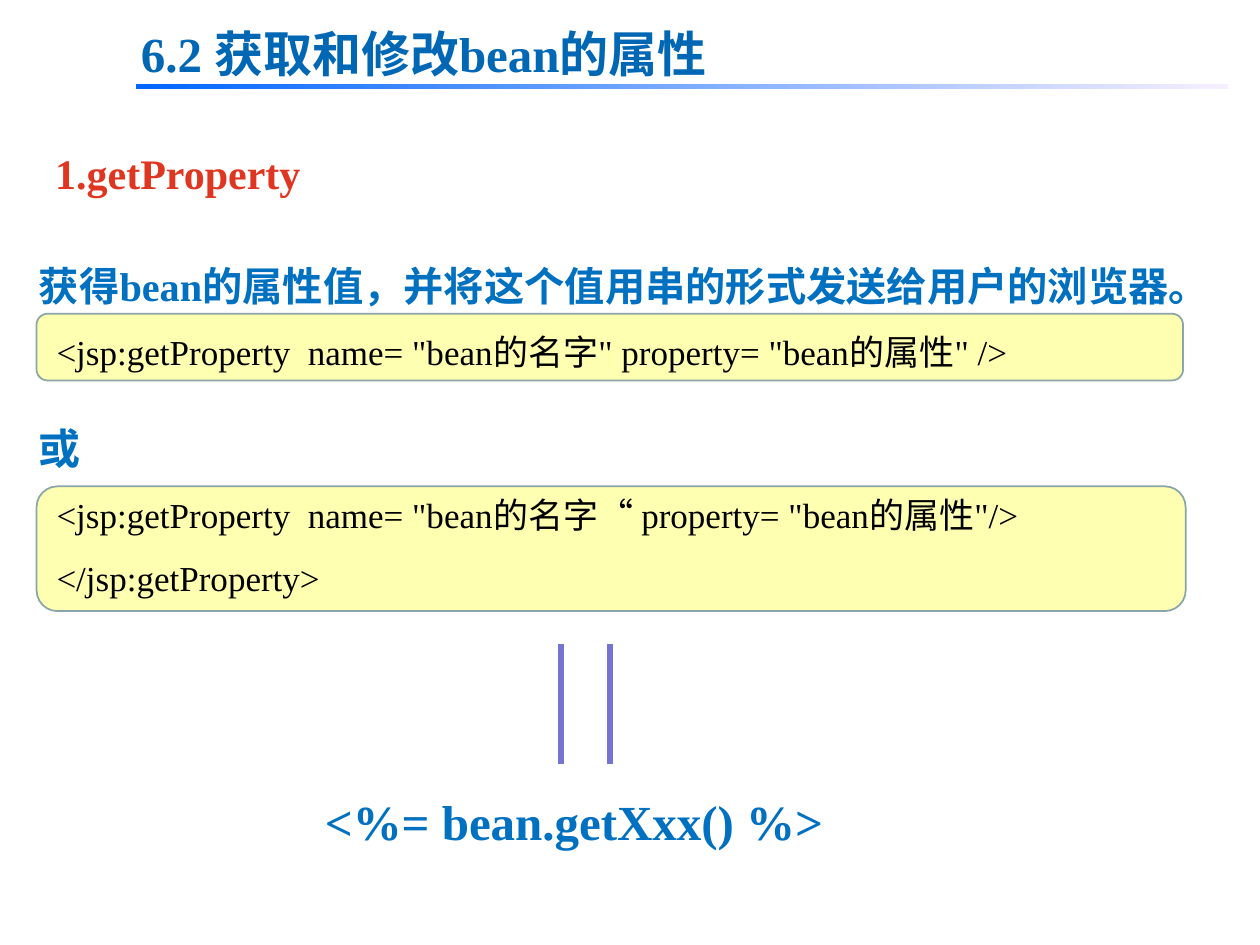
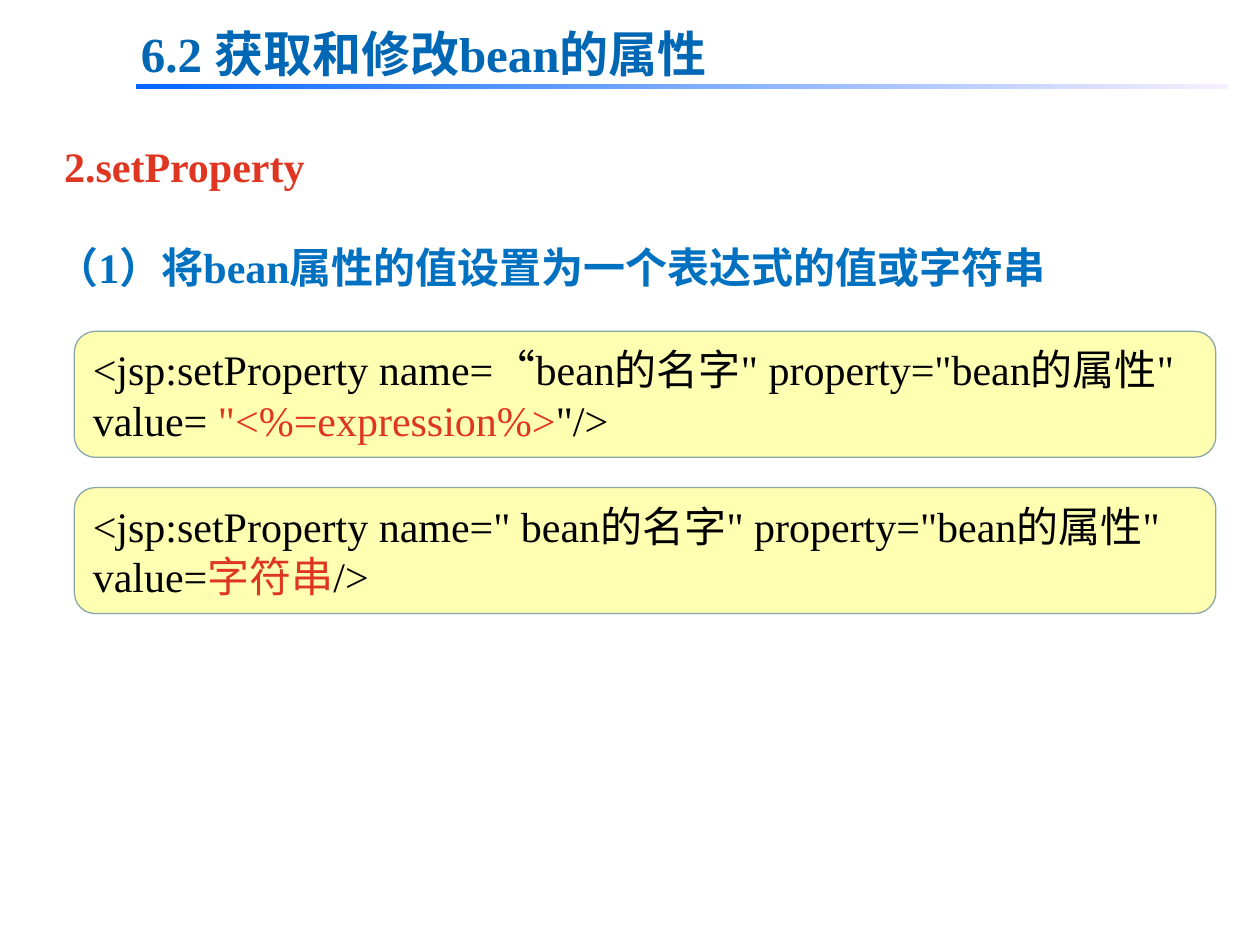
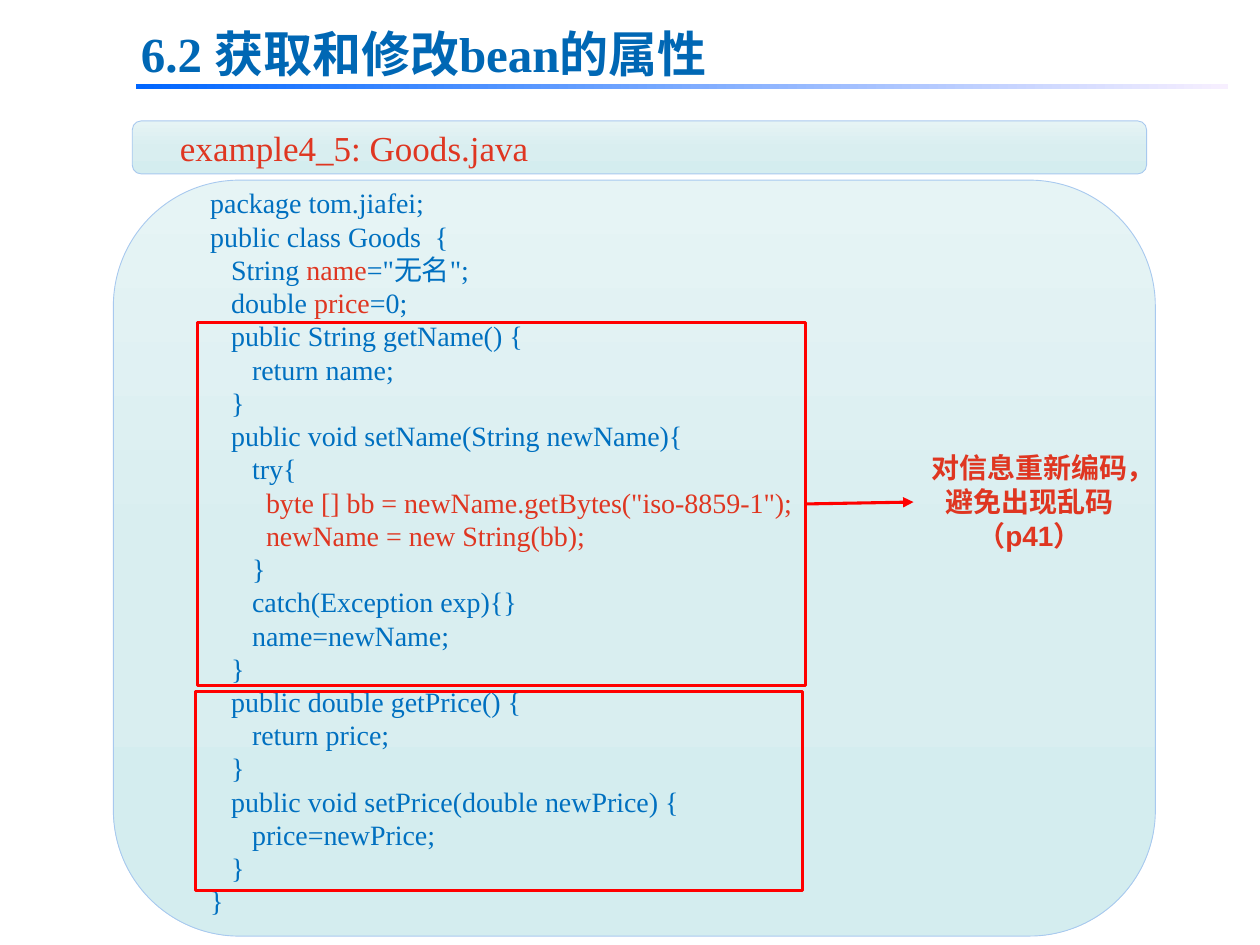
from lxml import etree
from pptx import Presentation
from pptx.dml.color import RGBColor
from pptx.enum.dml import MSO_THEME_COLOR
from pptx.enum.shapes import MSO_CONNECTOR, MSO_SHAPE
from pptx.enum.text import MSO_ANCHOR, PP_ALIGN
from pptx.oxml.ns import qn
from pptx.util import Inches, Pt

RECT, ROUND = MSO_SHAPE.RECTANGLE, MSO_SHAPE.ROUNDED_RECTANGLE
STRAIGHT = MSO_CONNECTOR.STRAIGHT
LEFT, CENTER, JUSTIFY = PP_ALIGN.LEFT, PP_ALIGN.CENTER, PP_ALIGN.JUSTIFY
TOP, MIDDLE = MSO_ANCHOR.TOP, MSO_ANCHOR.MIDDLE
DARK = MSO_THEME_COLOR.TEXT_1

SERIF, SANS = "Times New Roman", "Arial"
TITLE_BLUE, BLUE, RED, BLACK = "0067B4", "0070C0", "DF3621", "000000"
YELLOW, BOX_EDGE = "FFFF00", "8AA6A8"
FRAME_RED, PANEL_EDGE, BAR = "FF0000", "A8C9EF", "7575D1"
RULE_STOPS = ((0, "0066FF"), (100, "F7EFFF"))
PANEL_STOPS = ((0, "E6F4F5"), (50, "D9EEF0"), (100, "D4EDEF"))

TITLE = "6.2 获取和修改bean的属性"
GOODS = [
    "package tom.jiafei;",
    "public class Goods  {",
    ["   String ", ("name", RED), "=\"无名\";"],
    ["   double ", ("price", RED), "=0;"],
    "   public String getName() {",
    "      return name;",
    "   }",
    "   public void setName(String newName){",
    "      try{",
    [("        byte [] bb = newName.getBytes(\"iso-8859-1\");", RED)],
    [("        newName = new String(bb);", RED)],
    "      }",
    "      catch(Exception exp){}",
    "      name=newName;",
    "   }",
    "   public double getPrice() {",
    "      return price;",
    "   }",
    "   public void setPrice(double newPrice) {",
    "      price=newPrice;",
    "   }",
    "}",
]


def rgb(value):
    """Turn a hex string into a colour."""
    return RGBColor.from_string(value)


def add_paragraph(tf, runs, size, color, bold=False, name=SERIF, margin=0, **fmt):
    """Add a paragraph whose runs are strings or (string, colour) pairs."""
    p = tf.paragraphs[0]
    if p.runs:
        p = tf.add_paragraph()
    if margin:
        p._p.get_or_add_pPr().set("marL", str(Inches(margin)))
    for key, value in {"alignment": LEFT, **fmt}.items():
        setattr(p, key, value)
    for run in [runs] if isinstance(runs, str) else runs:
        text, run_color = (run, color) if isinstance(run, str) else run
        r = p.add_run()
        r.text = text
        for key, value in {"size": Pt(size), "bold": bold, "name": name}.items():
            setattr(r.font, key, value)
        r.font.color.rgb = rgb(run_color)


def add_text(slide, box):
    """Add a wrapping text box and return its shape."""
    sp = slide.shapes.add_textbox(*map(Inches, box))
    sp.text_frame.word_wrap = True
    return sp


def add_line_of_text(slide, box, text, size, color, **fmt):
    """Add a text box holding one paragraph."""
    add_paragraph(add_text(slide, box).text_frame, text, size, color, **fmt)


def add_box(slide, kind, box, line=None, width=1):
    """Add an unfilled shape with an optional outline."""
    sp = slide.shapes.add_shape(kind, *map(Inches, box))
    sp.shadow.inherit = False
    sp.fill.background()
    if line:
        sp.line.color.rgb = rgb(line)
        sp.line.width = Pt(width)
    else:
        sp.line.fill.background()
    return sp


def set_gradient(sp, stops, angle):
    """Fill a shape with a linear gradient of (percent, colour) stops."""
    sp.fill.gradient()
    sp.fill.gradient_angle = angle
    gs_list = sp._element.spPr.find(qn("a:gradFill")).find(qn("a:gsLst"))
    gs_list.clear()
    for percent, color in stops:
        gs = etree.SubElement(gs_list, qn("a:gs"), pos=str(percent * 1000))
        etree.SubElement(gs, qn("a:srgbClr"), val=color)


def add_code_box(slide, box, width):
    """Add a pale yellow rounded box for code."""
    sp = add_box(slide, ROUND, box, BOX_EDGE, width)
    sp.fill.solid()
    sp.fill.fore_color.rgb = rgb(YELLOW)
    color = sp._element.spPr.find(qn("a:solidFill"))[0]
    etree.SubElement(color, qn("a:alpha"), val="30000")
    return sp


def add_panel(slide, box):
    """Add a rounded panel with a soft vertical gradient."""
    set_gradient(add_box(slide, ROUND, box, PANEL_EDGE, 0.5), PANEL_STOPS, 270)


def add_line(slide, start, end, color, width):
    """Add a straight line without a shadow."""
    cx = slide.shapes.add_connector(STRAIGHT, *map(Inches, (*start, *end)))
    cx.line.color.rgb = rgb(color)
    cx.line.width = Pt(width)
    etree.SubElement(cx._element.spPr, qn("a:effectLst"))
    return cx


def add_slide(prs):
    """Add a blank slide with the section title and its rule."""
    slide = prs.slides.add_slide(prs.slide_layouts[6])
    set_gradient(add_box(slide, RECT, (1.08, 0.67, 8.67, 0.04)), RULE_STOPS, 0)
    add_line_of_text(slide, (1.02, 0.14, 5.09, 0.57), TITLE, 28, TITLE_BLUE,
                     bold=True, alignment=JUSTIFY)
    return slide


def add_syntax(slide, x, y, w, h):
    """Add the two forms of getProperty with their explanation."""
    add_code_box(slide, (x + 0.08, y + 0.66, w - 0.68, 0.53), 1)
    add_code_box(slide, (x + 0.08, y + 2.03, w - 0.66, 0.99), 1)
    tf = add_text(slide, (x, y, w, h)).text_frame
    note = {"color": BLUE, "bold": True, "alignment": JUSTIFY}
    code = {"size": 20, "color": BLACK, "margin": 0.14,
            "alignment": JUSTIFY, "line_spacing": 1.5}
    add_paragraph(tf, "获得bean的属性值，并将这个值用串的形式发送给用户的浏览器。",
                  23, line_spacing=1.5, **note)
    add_paragraph(tf, "<jsp:getProperty  name= \"bean的名字\" property= \"bean的属性\" />", **code)
    add_paragraph(tf, "或", 24, line_spacing=2.0, **note)
    add_paragraph(tf, "<jsp:getProperty  name= \"bean的名字“ property= \"bean的属性\"/>", **code)
    add_paragraph(tf, "</jsp:getProperty>", **code)


def add_equivalent(slide, x, y, w, h):
    """Add the double bar and the equivalent expression below it."""
    add_line_of_text(slide, (x, y + h - 0.57, w, 0.57), "<%= bean.getXxx() %>",
                     28, BLUE, bold=True)
    for bar_x in (x + 1.97, x + 2.36):
        add_line(slide, (bar_x, y), (bar_x, y + 0.95), BAR, 3.25)


def add_setters(slide, x, y, w, h, gap):
    """Stack the two forms of setProperty."""
    forms = [
        ["<jsp:setProperty name=“bean的名字\" property=\"bean的属性\" value= ",
         ("\"<%=expression%>", RED), "\"/>"],
        ["<jsp:setProperty name=\" bean的名字\" property=\"bean的属性\" value=",
         ("字符串", RED), "/>"],
    ]
    for i, form in enumerate(forms):
        sp = add_code_box(slide, (x, y + i * (h + gap), w, h), 0.75)
        sp.text_frame.word_wrap = True
        sp.text_frame.vertical_anchor = MIDDLE
        add_paragraph(sp.text_frame, form, 24, BLACK)


def add_file_name(slide, x, y, w, h):
    """Add the panel with the name of the listed file."""
    add_panel(slide, (x, y, w, h))
    add_line_of_text(slide, (x + 0.28, y - 0.02, 4.19, 0.45),
                     "example4_5: Goods.java", 20, RED, line_spacing=Pt(25))


def add_listing(slide, x, y, w, h):
    """Add the class listing with framed methods and a remark."""
    add_panel(slide, (x, y, w, h))
    tf = add_text(slide, (x + 0.67, y, w - 0.74, h - 0.04)).text_frame
    for line in GOODS:
        add_paragraph(tf, line, 16, BLUE, line_spacing=Pt(19))
    name_frame = add_box(slide, RECT, (x + 0.67, y + 1.13, 4.82, 2.88), FRAME_RED, 1.75)
    add_box(slide, RECT, (x + 0.65, y + 4.06, 4.82, 1.58), FRAME_RED, 1.75)
    remark = add_text(slide, (x + 6.35, y + 2.1, 1.84, 0.91))
    for text in ("对信息重新编码，", "避免出现乱码（p41）"):
        add_paragraph(remark.text_frame, text, 16, RED, bold=True, name=SANS,
                      alignment=CENTER)
    arrow = add_line(slide, (x + 5.49, y + 2.57), (x + 6.35, y + 2.56), FRAME_RED, 1.75)
    arrow.begin_connect(name_frame, 3)
    arrow.end_connect(remark, 1)
    etree.SubElement(arrow.line._get_or_add_ln(), qn("a:tailEnd"), type="triangle")


def build_get_property(prs):
    """Build the slide on getProperty."""
    slide = add_slide(prs)
    add_syntax(slide, 0.21, 1.83, 9.78, 3.41)
    add_line_of_text(slide, (0.34, 0.92, 9.17, 0.66), "1.getProperty", 24, RED,
                     bold=True, alignment=JUSTIFY, line_spacing=1.5)
    add_equivalent(slide, 2.48, 5.11, 4.42, 1.69)


def build_set_property(prs):
    """Build the slide on setProperty."""
    slide = add_slide(prs)
    add_line_of_text(slide, (0.41, 1.07, 9.42, 0.5), "2.setProperty", 24, RED,
                     bold=True, alignment=JUSTIFY)
    add_line_of_text(slide, (0.35, 1.87, 9.3, 0.51),
                     "（1）将bean属性的值设置为一个表达式的值或字符串", 24, BLUE, bold=True)
    add_setters(slide, 0.59, 2.63, 9.06, 1, 0.24)


def build_example(prs):
    """Build the slide with the Goods class."""
    slide = add_slide(prs)
    add_file_name(slide, 1.05, 0.96, 8.05, 0.42)
    add_listing(slide, 0.9, 1.43, 8.27, 6)


def main():
    """Build and save the presentation."""
    prs = Presentation()
    prs.slide_width, prs.slide_height = Inches(10), Inches(7.5)
    for build in (build_get_property, build_set_property, build_example):
        build(prs)
    prs.save("out.pptx")


if __name__ == "__main__":
    main()
